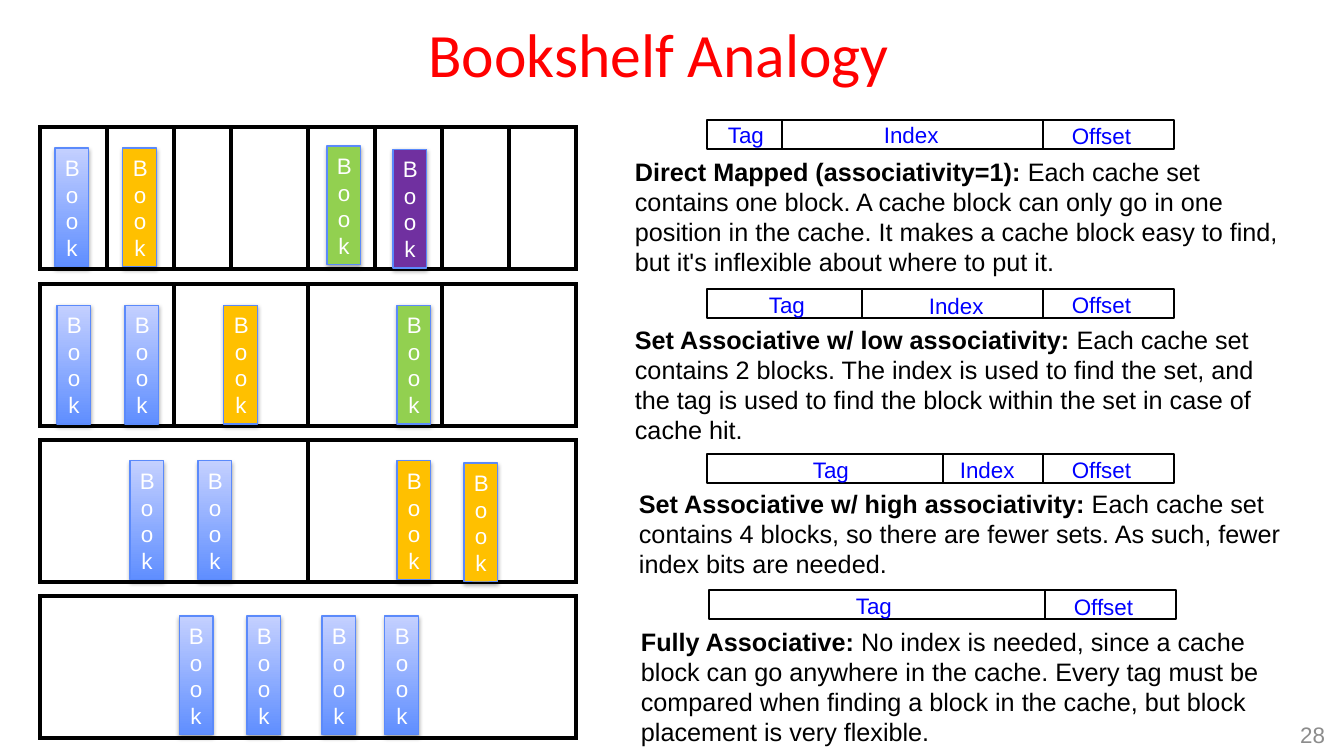
from itertools import accumulate

from lxml import etree
from pptx import Presentation
from pptx.dml.color import RGBColor
from pptx.enum.shapes import MSO_CONNECTOR, MSO_SHAPE
from pptx.enum.text import MSO_ANCHOR, MSO_AUTO_SIZE, PP_ALIGN
from pptx.oxml.ns import qn
from pptx.util import Pt

PX = 914400 / 100.8
RECTANGLE = MSO_SHAPE.RECTANGLE
STRAIGHT = MSO_CONNECTOR.STRAIGHT
MIDDLE = MSO_ANCHOR.MIDDLE
FIT_SHAPE = MSO_AUTO_SIZE.SHAPE_TO_FIT_TEXT
NO_FIT = MSO_AUTO_SIZE.NONE
LEFT, CENTER, RIGHT = PP_ALIGN.LEFT, PP_ALIGN.CENTER, PP_ALIGN.RIGHT

BLACK = RGBColor(0x00, 0x00, 0x00)
WHITE = RGBColor(0xFF, 0xFF, 0xFF)
RED = RGBColor(0xFF, 0x00, 0x00)
LABEL_BLUE = RGBColor(0x00, 0x00, 0xFF)
GRAY = RGBColor(0x8C, 0x8C, 0x8C)
BOOK_EDGE = RGBColor(0x5B, 0x8A, 0xFB)
BLUE_DARK = RGBColor(0x5F, 0x8E, 0xFF)
BLUE_LIGHT = RGBColor(0xC4, 0xD0, 0xFF)
ORANGE = RGBColor(0xFF, 0xC0, 0x00)
GREEN = RGBColor(0x92, 0xD0, 0x50)
PURPLE = RGBColor(0x70, 0x30, 0xA0)
BLUE = (BLUE_DARK, BLUE_LIGHT)

SHELF_WIDTH, SHELF_HEIGHT = 536, 142
BOOK_WIDTH, BOOK_HEIGHT = 34, 119
FIELD_WIDTH, FIELD_HEIGHT = 467, 29
OFFSET_DIVIDER = 336
LABEL_WIDTHS = {"Tag": 56, "Index": 75, "Offset": 81}

SHELVES = [
    (127, [67, 67, 57, 77, 67, 67, 67, 67],
     [(15, 21, BLUE), (83, 21, ORANGE), (287, 19, GREEN), (353, 22, PURPLE)]),
    (284, [134] * 4,
     [(17, 21, BLUE), (85, 21, BLUE), (184, 21, ORANGE), (357, 21, GREEN)]),
    (440, [268] * 2,
     [(90, 21, BLUE), (158, 21, BLUE), (357, 21, ORANGE), (424, 23, ORANGE)]),
    (596, [SHELF_WIDTH],
     [(139, 20, BLUE), (207, 20, BLUE), (282, 20, BLUE), (345, 20, BLUE)]),
]

ADDRESSES = [
    (707, 120, [75], [("Tag", 11, -4), ("Index", 167, -4), ("Offset", 355, -3)],
     (-82, 31, 132), "Direct Mapped (associativity=1): ",
     "Each cache set contains one block. A cache block can only go in one position "
     "in the cache. It makes a cache block easy to find, but it's inflexible about "
     "where to put it."),
    (707, 289, [155], [("Tag", 52, -3), ("Index", 212, -2), ("Offset", 355, -3)],
     (-82, 30, 132), "Set Associative w/ low associativity:",
     " Each cache set contains 2 blocks. The index is used to find the set, and the "
     "tag is used to find the block within the set in case of cache hit."),
    (707, 454, [236], [("Tag", 96, -3), ("Index", 243, -3), ("Offset", 355, -3)],
     (-78, 29, 102), "Set Associative w/ high associativity: ",
     "Each cache set contains 4 blocks, so there are fewer sets. As such, fewer "
     "index bits are needed."),
    (709, 590, [], [("Tag", 137, -3), ("Offset", 355, -2)],
     (-78, 31, 132), "Fully Associative: ",
     "No index is needed, since a cache block can go anywhere in the cache. Every "
     "tag must be compared when finding a block in the cache, but block placement "
     "is very flexible."),
]


def px(*lengths):
    return [round(length * PX) for length in lengths]


def add_run(paragraph, text, size, color, bold=False, font="Arial"):
    run = paragraph.add_run()
    run.text = text
    run.font.name = font
    run.font.size = Pt(size)
    run.font.bold = bold
    run.font.color.rgb = color


def add_text(slide, box, runs, alignment=LEFT, wrap=True):
    frame = slide.shapes.add_textbox(*px(*box)).text_frame
    frame.word_wrap = wrap
    frame.auto_size = FIT_SHAPE
    paragraph = frame.paragraphs[0]
    paragraph.alignment = alignment
    for run in runs:
        add_run(paragraph, *run)
    return frame


def add_title(slide, box):
    title = slide.shapes.title
    title.left, title.top, title.width, title.height = px(*box)
    frame = title.text_frame
    frame.auto_size = NO_FIT
    frame.vertical_anchor = MIDDLE
    paragraph = frame.paragraphs[0]
    paragraph.alignment = CENTER
    paragraph.line_spacing = 0.9
    add_run(paragraph, "Bookshelf Analogy", 44, RED, font="Calibri")


def set_borders(cell):
    properties = cell._tc.get_or_add_tcPr()
    for position, side in enumerate(("lnL", "lnR", "lnT", "lnB")):
        line = etree.Element(qn(f"a:{side}"), w=str(Pt(3)))
        fill = etree.SubElement(line, qn("a:solidFill"))
        etree.SubElement(fill, qn("a:srgbClr"), val=str(BLACK))
        properties.insert(position, line)


def add_shadow(shape):
    shape.shadow.inherit = False
    effects = shape._element.spPr.find(qn("a:effectLst"))
    shadow = etree.SubElement(effects, qn("a:outerShdw"), blurRad="40000",
                              dist="23000", dir="5400000", rotWithShape="0")
    color = etree.SubElement(shadow, qn("a:srgbClr"), val=str(BLACK))
    etree.SubElement(color, qn("a:alpha"), val="35000")


def add_book(slide, left, top, color):
    book = slide.shapes.add_shape(RECTANGLE, *px(left, top, BOOK_WIDTH, BOOK_HEIGHT))
    if color == BLUE:
        book.fill.gradient()
        book.fill.gradient_angle = 90
        for stop, stop_color in zip(book.fill.gradient_stops, BLUE):
            stop.color.rgb = stop_color
    else:
        book.fill.solid()
        book.fill.fore_color.rgb = color
    book.line.color.rgb = BOOK_EDGE
    book.line.width = Pt(0.75)
    add_shadow(book)
    frame = book.text_frame
    frame.word_wrap = True
    frame.vertical_anchor = MIDDLE
    paragraph = frame.paragraphs[0]
    paragraph.alignment = CENTER
    add_run(paragraph, "Book", 16, WHITE)


def add_shelf(slide, left, top, widths, books):
    box = px(left, top, SHELF_WIDTH, SHELF_HEIGHT)
    table = slide.shapes.add_table(1, len(widths), *box).table
    table.first_row = table.horz_banding = False
    for column, width in zip(table.columns, px(*widths)):
        column.width = width
    for cell in table.iter_cells():
        cell.fill.background()
        set_borders(cell)
    for book_left, book_top, color in books:
        add_book(slide, left + book_left, top + book_top, color)


def add_address(slide, left, top, dividers, labels, description, heading, body):
    field = slide.shapes.add_shape(RECTANGLE, *px(left, top, FIELD_WIDTH, FIELD_HEIGHT))
    field.shadow.inherit = False
    field.fill.background()
    field.line.color.rgb = BLACK
    field.line.width = Pt(1.5)
    for divider in [OFFSET_DIVIDER, *dividers]:
        x = left + divider
        line = slide.shapes.add_connector(STRAIGHT, *px(x, top, x, top + FIELD_HEIGHT))
        line.line.color.rgb = BLACK
        line.line.width = Pt(1.5)
        etree.SubElement(line._element.spPr, qn("a:effectLst"))
    for name, label_left, label_top in labels:
        add_text(slide, (left + label_left, top + label_top, LABEL_WIDTHS[name], 37),
                 [(name, 16, LABEL_BLUE)], wrap=False)
    text_left, text_top, text_height = description
    add_text(slide, (left + text_left, top + text_top, 672, text_height),
             [(heading, 18, BLACK, True), (body, 18, BLACK)])


def main():
    presentation = Presentation()
    presentation.slide_width, presentation.slide_height = px(1344, 756)
    slide = presentation.slides.add_slide(presentation.slide_layouts[5])
    add_title(slide, (123, 17, 1072, 82))
    for shelf in SHELVES:
        add_shelf(slide, 40, *shelf)
    for address in ADDRESSES:
        add_address(slide, *address)
    number = add_text(slide, (1267, 714, 68, 42), [("28", 16, GRAY)], RIGHT)
    number.auto_size = NO_FIT
    number.vertical_anchor = MIDDLE
    presentation.save("out.pptx")


if __name__ == "__main__":
    main()
